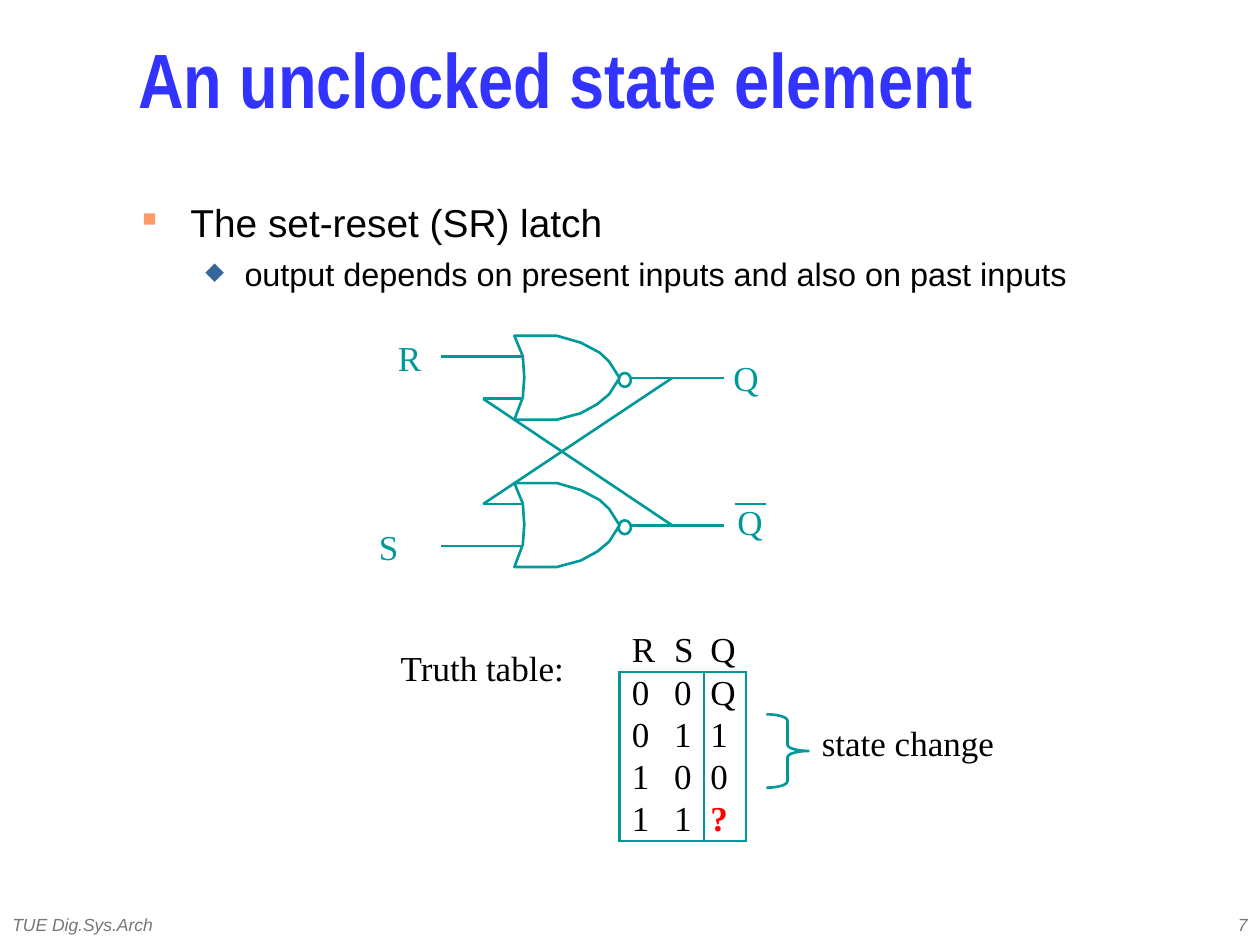
"""Build the slide on the unclocked set-reset latch."""
import lxml.etree
import pptx
import pptx.dml.color
import pptx.enum.shapes
import pptx.enum.text
import pptx.oxml
import pptx.oxml.ns
import pptx.util

Cm, Pt = pptx.util.Cm, pptx.util.Pt
RGB = pptx.dml.color.RGBColor.from_string
ALIGN = pptx.enum.text.PP_ALIGN
MIDDLE = pptx.enum.text.MSO_ANCHOR.MIDDLE
SHAPE = pptx.enum.shapes.MSO_SHAPE
qn = pptx.oxml.ns.qn
COLORS = {
    "title": "3333FF", "text": "010000", "circuit": "009999", "unknown": "FF0000",
    "square": "FF9966", "diamond": "336699", "footer": "777777", "gate": "FFFFFF",
}
SERIF = "Times New Roman"

deck = pptx.Presentation()
deck.slide_width, deck.slide_height = Cm(25.4), Cm(19.05)
slide = deck.slides.add_slide(deck.slide_layouts[6])


def write(paragraph, text, size, font, color, bold=False, italic=False):
    run = paragraph.add_run()
    run.text = text
    run.font.size, run.font.name = Pt(size), font
    run.font.bold, run.font.italic = bold, italic
    run.font.color.rgb = RGB(COLORS[color])


def wire(x1, y1, x2, y2):
    line = slide.shapes.add_connector(
        pptx.enum.shapes.MSO_CONNECTOR.STRAIGHT, Cm(x1), Cm(y1), Cm(x2), Cm(y2))
    line.line.color.rgb = RGB(COLORS["circuit"])
    line.line.width = Pt(1.5)
    lxml.etree.SubElement(line._element.spPr, qn("a:effectLst"))


title = slide.shapes.add_textbox(Cm(2.54), Cm(0.43), Cm(21.79), Cm(2.74)).text_frame
title.word_wrap = True
title.vertical_anchor = MIDDLE
title.paragraphs[0].line_spacing = 0.7
write(title.paragraphs[0], "An unclocked state element", 44, "Arial Narrow", "title", bold=True)

points = slide.shapes.add_textbox(Cm(2.62), Cm(3.89), Cm(21.62), Cm(2.24)).text_frame
points.word_wrap = True
for level, (text, size, mark, mark_color, mark_size, margin, hanging) in enumerate([
    ("The set-reset (SR) latch", 22.2, "■", "square", 50, 0.97, 0.97),
    ("output depends on present inputs and also on past inputs",
     18.5, "◆", "diamond", 75, 2.06, 0.79),
]):
    point = points.add_paragraph() if level else points.paragraphs[0]
    point.level = level
    point.space_before = Pt(5 * level)
    properties = point._p.get_or_add_pPr()
    properties.set("marL", str(Cm(margin)))
    properties.set("indent", str(-Cm(hanging)))
    bullet_color = lxml.etree.SubElement(properties, qn("a:buClr"))
    lxml.etree.SubElement(bullet_color, qn("a:srgbClr"), val=COLORS[mark_color])
    lxml.etree.SubElement(properties, qn("a:buSzPct"), val=str(mark_size * 1000))
    lxml.etree.SubElement(properties, qn("a:buChar"), char=mark)
    write(point, text, size, "Arial", "text")

GATE_LEFT, GATE_TOPS = 10.37, (6.77, 9.74)
GATE_OUTLINE = [
    (0, 0), (0.86, 0), (1.34, 0.14), (1.72, 0.34), (1.91, 0.52), (2.12, 0.85),
    (1.91, 1.18), (1.67, 1.38), (1.34, 1.56), (0.86, 1.69), (0, 1.69),
    (0.17, 1.24), (0.2, 0.84), (0.17, 0.41),
]
for top, input_starts in zip(GATE_TOPS, [(8.89, 9.74), (9.74, 8.89)]):
    bubble = slide.shapes.add_shape(
        SHAPE.OVAL, Cm(GATE_LEFT + 2.1), Cm(top + 0.75), Cm(0.25), Cm(0.28))
    for input_start, drop in zip(input_starts, (0.42, 1.27)):
        wire(input_start, top + drop, 10.58, top + drop)
    wire(12.7, top + 0.85, 14.6, top + 0.85)
    corners = [(Cm(GATE_LEFT + x), Cm(top + y)) for x, y in GATE_OUTLINE]
    outline = slide.shapes.build_freeform(*corners[0])
    outline.add_line_segments(corners[1:], close=True)
    gate = outline.convert_to_shape()
    for part in (bubble, gate):
        part.shadow.inherit = False
        part.fill.solid()
        part.fill.fore_color.rgb = RGB(COLORS["gate"])
        part.line.color.rgb = RGB(COLORS["circuit"])
        part.line.width = Pt(1.5)

wire(9.74, 10.16, 13.55, 7.62)
wire(13.55, 10.59, 9.74, 8.04)
wire(14.82, 10.16, 15.45, 10.16)

for text, left, top, width, color in [
    ("R", 7.77, 6.65, 0.97, "circuit"),
    ("S", 7.39, 10.46, 0.89, "circuit"),
    ("Q", 14.53, 7.06, 1.02, "circuit"),
    ("Q", 14.61, 9.96, 1.02, "circuit"),
    ("Truth table:", 7.82, 12.9, 3.81, "text"),
    ("state change", 16.31, 14.4, 3.99, "text"),
]:
    label = slide.shapes.add_textbox(Cm(left), Cm(top), Cm(width), Cm(1.12)).text_frame
    label.word_wrap = False
    label.vertical_anchor = MIDDLE
    label.paragraphs[0].alignment = ALIGN.CENTER
    write(label.paragraphs[0], text, 20, SERIF, color)

TRUTH = ["RSQ", "00Q", "011", "100", "11?"]
truth_table = slide.shapes.add_table(5, 3, Cm(12.49), Cm(12.7), Cm(2.55), Cm(4.25)).table
truth_table.first_row = truth_table.horz_banding = False
for column in truth_table.columns:
    column.width = Cm(0.85)
for row, values in enumerate(TRUTH):
    truth_table.rows[row].height = Cm(0.85)
    for column, value in enumerate(values):
        cell = truth_table.cell(row, column)
        cell.fill.background()
        cell.vertical_anchor = MIDDLE
        cell.margin_left = Cm((0.25, 0.25, 0.13)[column])
        cell.margin_right = cell.margin_top = cell.margin_bottom = 0
        unknown = value == "?"
        write(cell.text_frame.paragraphs[0], value, 20, SERIF,
              "unknown" if unknown else "text", bold=unknown)
        borders = {
            "L": row > 0 and column != 1,
            "R": row > 0 and column > 0,
            "T": row == 1,
            "B": row in (0, 4),
        }
        for order, (side, drawn) in enumerate(borders.items()):
            border = pptx.oxml.parse_xml(
                f'<a:ln{side} {pptx.oxml.ns.nsdecls("a")} w="{Pt(1.5)}"/>')
            if drawn:
                fill = lxml.etree.SubElement(border, qn("a:solidFill"))
                lxml.etree.SubElement(fill, qn("a:srgbClr"), val=COLORS["circuit"])
            else:
                lxml.etree.SubElement(border, qn("a:noFill"))
            cell._tc.get_or_add_tcPr().insert(order, border)

brace = slide.shapes.add_shape(SHAPE.RIGHT_BRACE, Cm(15.45), Cm(14.4), Cm(0.85), Cm(1.48))
brace.adjustments[0] = 0.15
brace.shadow.inherit = False
brace.fill.background()
brace.line.color.rgb = RGB(COLORS["circuit"])
brace.line.width = Pt(1.5)

for text, left, alignment in [
    ("7", 20.12, ALIGN.RIGHT), ("TUE Dig.Sys.Arch", 0, ALIGN.LEFT),
]:
    footer = slide.shapes.add_textbox(Cm(left), Cm(18.21), Cm(5.28), Cm(0.84)).text_frame
    footer.word_wrap = True
    footer.vertical_anchor = MIDDLE
    footer.paragraphs[0].alignment = alignment
    write(footer.paragraphs[0], text, 10, "Arial", "footer", italic=True)

deck.save("out.pptx")
